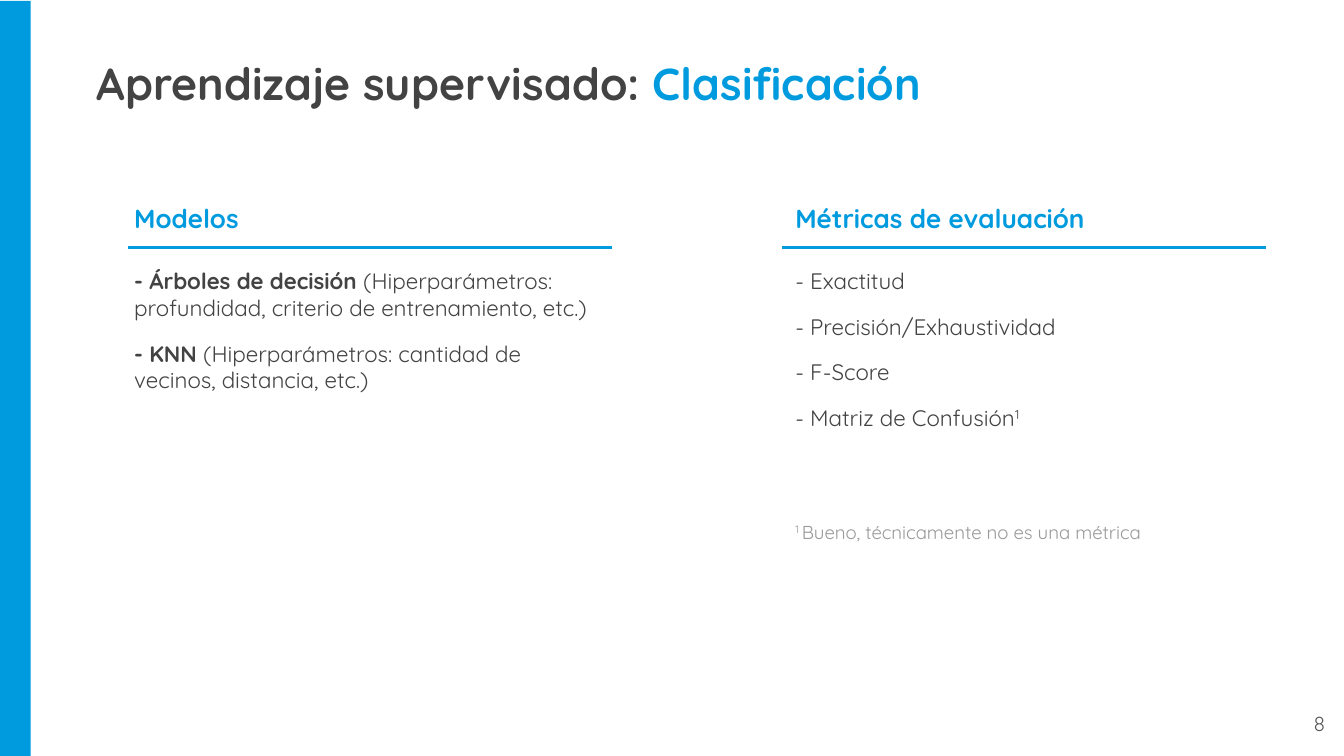
from dataclasses import dataclass

from lxml.etree import SubElement
from pptx import Presentation
from pptx.dml.color import RGBColor
from pptx.enum.shapes import MSO_CONNECTOR as Connector
from pptx.enum.shapes import MSO_SHAPE as ShapeKind
from pptx.enum.text import MSO_ANCHOR as Anchor
from pptx.enum.text import MSO_AUTO_SIZE as AutoSize
from pptx.enum.text import PP_ALIGN as Align
from pptx.oxml.ns import qn
from pptx.shapes.base import BaseShape
from pptx.slide import Slide
from pptx.util import Pt


@dataclass(frozen=True)
class Theme:
    font: str = "Quicksand"
    accent: str = "009BDE"
    dark: str = "434343"
    muted: str = "999999"
    number: str = "595959"
    title_size: float = 24
    heading_size: float = 14
    body_size: float = 12
    number_size: float = 11
    note_size: float = 10


@dataclass(frozen=True)
class Part:
    text: str
    color: str = ""
    bold: bool = False
    superscript: bool = False


@dataclass(frozen=True)
class Box:
    left: float
    top: float
    width: float
    height: float


@dataclass(frozen=True)
class Column:
    left: float
    rule_left: float
    heading: str
    items: tuple[tuple[Part, ...], ...]


THEME = Theme()
INSET = 7.2
RULE_TOP = 132.5
RULE_WIDTH = 259.5

COLUMNS = (
    Column(64.8, 68.5, "Modelos", (
        (Part("- Árboles de decisión", bold=True),
         Part(" (Hiperparámetros: profundidad, criterio de entrenamiento, etc.)")),
        (Part("- KNN ", bold=True),
         Part("(Hiperparámetros: cantidad de vecinos, distancia, etc.)")),
    )),
    Column(419, 419, "Métricas de evaluación", (
        (Part("- Exactitud"),),
        (Part("- Precisión/Exhaustividad"),),
        (Part("- F-Score"),),
        (Part("- Matriz de Confusión"), Part("1", superscript=True)),
    )),
)


def fill_text(
    shape: BaseShape,
    paragraphs: tuple[tuple[Part, ...], ...],
    size: float,
    color: str,
    align: Align = Align.LEFT,
    gap: float = 0,
    line_spacing: float = 1.0,
) -> None:
    frame = shape.text_frame
    frame.word_wrap = True
    frame.auto_size = AutoSize.NONE
    frame.vertical_anchor = Anchor.TOP
    frame.margin_left = frame.margin_right = Pt(INSET)
    frame.margin_top = frame.margin_bottom = Pt(INSET)
    for index, parts in enumerate(paragraphs):
        paragraph = frame.add_paragraph() if index else frame.paragraphs[0]
        paragraph.alignment = align
        paragraph.line_spacing = line_spacing
        paragraph.space_before = Pt(gap if index else 0)
        for part in parts:
            run = paragraph.add_run()
            run.text = part.text
            run.font.name = THEME.font
            run.font.size = Pt(size)
            run.font.bold = part.bold
            run.font.color.rgb = RGBColor.from_string(part.color or color)
            if part.superscript:
                run.font._element.set("baseline", "30000")


def add_text_box(slide: Slide, box: Box) -> BaseShape:
    return slide.shapes.add_textbox(
        Pt(box.left), Pt(box.top), Pt(box.width), Pt(box.height)
    )


def add_side_bar(slide: Slide, box: Box) -> None:
    bar = slide.shapes.add_shape(
        ShapeKind.RECTANGLE, Pt(box.left), Pt(box.top), Pt(box.width), Pt(box.height)
    )
    bar.shadow.inherit = False
    bar.fill.solid()
    bar.fill.fore_color.rgb = RGBColor.from_string(THEME.accent)
    bar.line.fill.background()


def add_title(slide: Slide, box: Box, parts: tuple[Part, ...]) -> None:
    title = slide.shapes.title
    title.left, title.top = Pt(box.left), Pt(box.top)
    title.width, title.height = Pt(box.width), Pt(box.height)
    fill_text(title, (parts,), THEME.title_size, THEME.dark)


def add_rule(slide: Slide, left: float) -> None:
    rule = slide.shapes.add_connector(
        Connector.STRAIGHT, Pt(left), Pt(RULE_TOP), Pt(left + RULE_WIDTH), Pt(RULE_TOP)
    )
    rule.line.color.rgb = RGBColor.from_string(THEME.accent)
    rule.line.width = Pt(1.5)
    SubElement(rule._element.spPr, qn("a:effectLst"))


def add_column(slide: Slide, column: Column) -> None:
    heading = add_text_box(slide, Box(column.left, 101, 175, 31))
    fill_text(
        heading, ((Part(column.heading, bold=True),),), THEME.heading_size, THEME.accent
    )
    add_rule(slide, column.rule_left)
    body = add_text_box(slide, Box(column.left, 136, 261.5, 75))
    fill_text(body, column.items, THEME.body_size, THEME.dark, gap=10)


def main() -> None:
    presentation = Presentation()
    presentation.slide_width = Pt(720)
    presentation.slide_height = Pt(405)
    slide = presentation.slides.add_slide(presentation.slide_layouts[5])

    add_side_bar(slide, Box(0, 0.5, 16.5, 404.5))
    add_title(slide, Box(44.6, 22.5, 620.5, 42.5), (
        Part("Aprendizaje supervisado: ", bold=True),
        Part("Clasificación", THEME.accent, bold=True),
    ))
    for column in COLUMNS:
        add_column(slide, column)

    note = add_text_box(slide, Box(COLUMNS[1].left, 265.7, 264, 19))
    fill_text(
        note,
        ((Part("1 ", superscript=True), Part("Bueno, técnicamente no es una métrica")),),
        THEME.note_size,
        THEME.muted,
        line_spacing=1.5,
    )
    number = add_text_box(slide, Box(674, 373.5, 43, 31))
    fill_text(number, ((Part("8"),),), THEME.number_size, THEME.number, Align.RIGHT)

    presentation.save("out.pptx")


if __name__ == "__main__":
    main()
